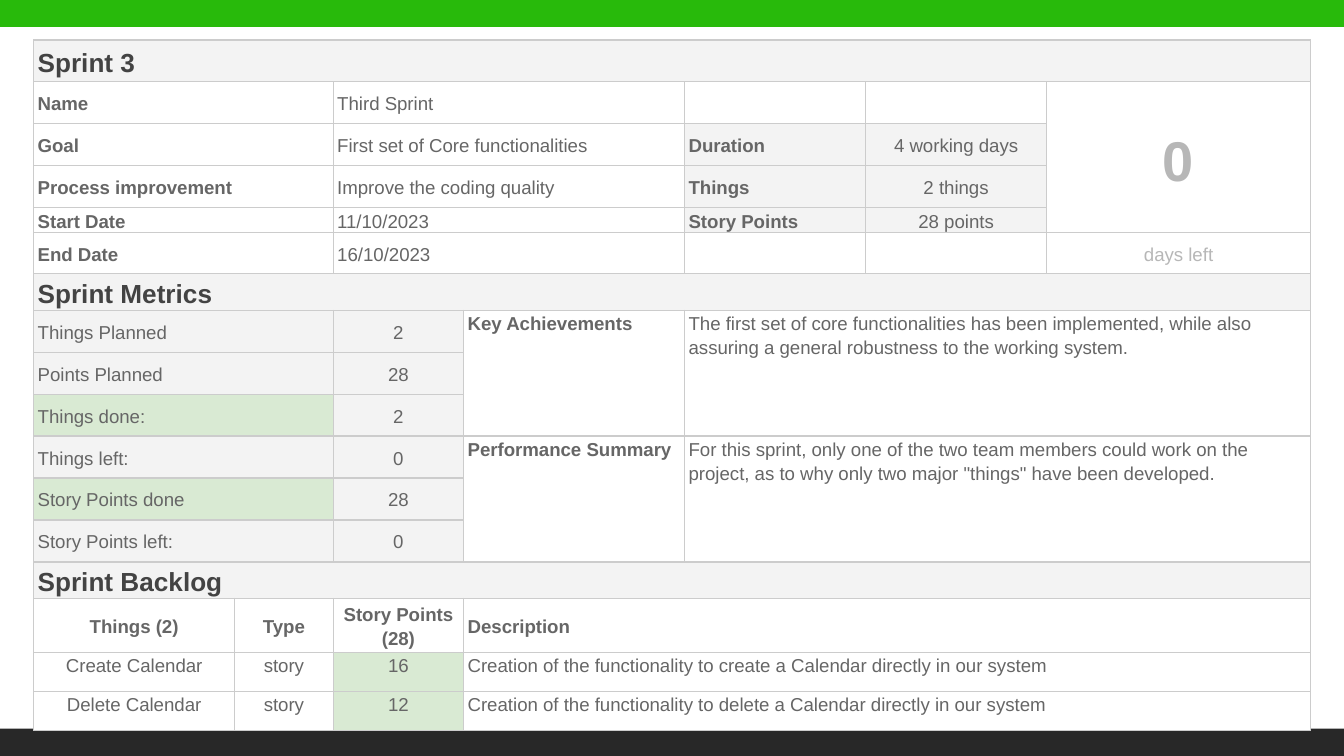
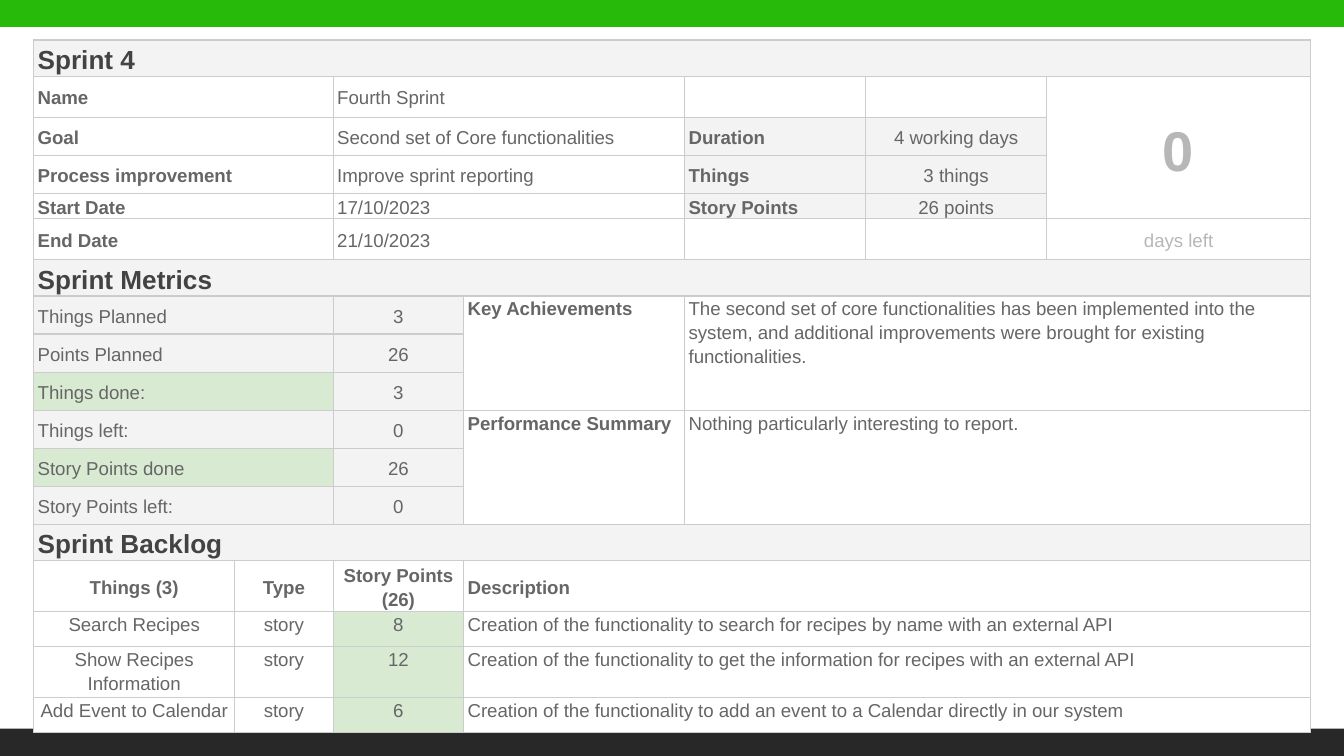
from dataclasses import dataclass

from lxml import etree
from pptx import Presentation
from pptx import util as u
from pptx.dml.color import RGBColor
from pptx.enum import shapes, text
from pptx.oxml.ns import qn


@dataclass(frozen=True)
class Theme:
    """Colours, type sizes and spacing shared by the slides."""

    font: str = "Arial"
    top_band: str = "28BA0B"
    bottom_band: str = "282828"
    heading: str = "434343"
    body: str = "666666"
    muted: str = "B7B7B7"
    border: str = "CCCCCC"
    white: str = "FFFFFF"
    panel: str = "F3F3F3"
    done: str = "D9EAD3"
    heading_size: int = 14
    body_size: int = 10
    counter_size: int = 30
    line_spacing: float = 1.15
    side_margin: float = 2.2


@dataclass(frozen=True)
class Sprint:
    """Content and row heights of one sprint report."""

    number: int
    name: str
    goal: str
    improvement: str
    start: str
    end: str
    things: int
    points: int
    achievements: str
    summary: str
    backlog: list
    title_height: float
    row_height: float
    header_height: float
    backlog_heights: list


THEME = Theme()
PAGE_WIDTH, PAGE_HEIGHT = 720, 405
TABLE_LEFT, TABLE_TOP = 18, 21.4
COLUMN_WIDTHS = [107.7, 52.8, 69.9, 118.4, 97, 97, 141.4]
LAST_COLUMN = len(COLUMN_WIDTHS) - 1
SECTION_HEIGHT, DATE_HEIGHT = 19.5, 13.5
CENTER = text.PP_ALIGN.CENTER
TOP = text.MSO_ANCHOR.TOP
METRICS_ROW, BACKLOG_ROW = 6, 13

SPRINTS = [
    Sprint(
        3, "Third Sprint", "First set of Core functionalities",
        "Improve the coding quality", "11/10/2023", "16/10/2023", 2, 28,
        "The first set of core functionalities has been implemented, while also "
        "assuring a general robustness to the working system.",
        "For this sprint, only one of the two team members could work on the "
        'project, as to why only two major "things" have been developed.',
        [
            ("Create Calendar", 16, "create a Calendar directly in our system"),
            ("Delete Calendar", 12, "delete a Calendar directly in our system"),
        ],
        22.4, 22.5, 29.2, [20.9, 20.9],
    ),
    Sprint(
        4, "Fourth Sprint", "Second set of Core functionalities",
        "Improve sprint reporting", "17/10/2023", "21/10/2023", 3, 26,
        "The second set of core functionalities has been implemented into the "
        "system, and additional improvements were brought for existing "
        "functionalities.",
        "Nothing particularly interesting to report.",
        [
            ("Search Recipes", 8, "search for recipes by name with an external API"),
            ("Show Recipes Information", 12,
             "get the information for recipes with an external API"),
            ("Add Event to Calendar", 6,
             "add an event to a Calendar directly in our system"),
        ],
        19.5, 20.4, 27.3, [18.9, 27, 18.9],
    ),
]


def add_bands(deck, page):
    """Put the top and bottom colour bands on the slide master."""
    for top, color in ((390.4, THEME.bottom_band), (-4.3, THEME.top_band)):
        band = page.shapes.add_shape(
            shapes.MSO_SHAPE.RECTANGLE, u.Pt(-5), u.Pt(top),
            u.Pt(PAGE_WIDTH + 10), u.Pt(18.7))
        band.shadow.inherit = False
        band.fill.solid()
        band.fill.fore_color.rgb = RGBColor.from_string(color)
        band.line.fill.background()
        deck.slide_master.shapes.element.append(band.element)


def format_cell(cell):
    """Give a cell its margins, thin borders and an empty fill."""
    cell.margin_left = cell.margin_right = u.Pt(THEME.side_margin)
    cell.margin_top = cell.margin_bottom = 0
    properties = cell._tc.get_or_add_tcPr()
    for side in ("a:lnL", "a:lnR", "a:lnT", "a:lnB"):
        line = etree.SubElement(properties, qn(side), w=str(u.Pt(0.75)))
        fill = etree.SubElement(line, qn("a:solidFill"))
        etree.SubElement(fill, qn("a:srgbClr"), val=THEME.border)
    cell.fill.background()


def paint(cell, color):
    """Fill a cell with one colour."""
    cell.fill.solid()
    cell.fill.fore_color.rgb = RGBColor.from_string(color)


def write(table, row, column, words, to_row=None, to_column=None, fill=None,
          bold=False, color=THEME.body, size=THEME.body_size, align=None,
          anchor=text.MSO_ANCHOR.MIDDLE):
    """Write a cell, merging it down and across where an end is given."""
    cell = table.cell(row, column)
    if to_row or to_column:
        cell.merge(table.cell(to_row or row, to_column or column))
    if fill:
        paint(cell, fill)
    cell.vertical_anchor = anchor
    cell.text_frame.text = str(words)
    para = cell.text_frame.paragraphs[0]
    para.line_spacing = THEME.line_spacing
    if align:
        para.alignment = align
    for span in para.runs:
        span.font.name = THEME.font
        span.font.size = u.Pt(size)
        span.font.bold = bold
        span.font.color.rgb = RGBColor.from_string(color)


def write_heading(table, row, words):
    """Write a section heading across the whole table."""
    write(table, row, 0, words, to_column=LAST_COLUMN, fill=THEME.panel, bold=True,
          color=THEME.heading, size=THEME.heading_size)


def fill_overview(table, top, sprint):
    """Fill the sprint facts, totals and days-left counter from row top."""
    write_heading(table, top, f"Sprint {sprint.number}")
    facts = [
        ("Name", sprint.name),
        ("Goal", sprint.goal),
        ("Process improvement", sprint.improvement),
        ("Start Date", sprint.start),
        ("End Date", sprint.end),
    ]
    for row, (label, value) in enumerate(facts, top + 1):
        write(table, row, 0, label, to_column=1, bold=True)
        write(table, row, 2, value, to_column=3)
    totals = [
        ("Duration", "4 working days"),
        ("Things", f"{sprint.things} things"),
        ("Story Points", f"{sprint.points} points"),
    ]
    for row, (label, value) in enumerate(totals, top + 2):
        write(table, row, 4, label, fill=THEME.panel, bold=True)
        write(table, row, 5, value, fill=THEME.panel, align=CENTER)
    for column in (4, 5):
        paint(table.cell(top + 1, column), THEME.white)
    write(table, top + 1, LAST_COLUMN, 0, to_row=top + 4, fill=THEME.white,
          bold=True, color=THEME.muted, size=THEME.counter_size, align=CENTER)
    write(table, top + 5, LAST_COLUMN, "days left", color=THEME.muted, align=CENTER)


def fill_metrics(table, top, sprint):
    """Fill the metric counts and the two comment blocks from row top."""
    write_heading(table, top, "Sprint Metrics")
    metrics = [
        ("Things Planned", sprint.things, THEME.panel),
        ("Points Planned", sprint.points, THEME.panel),
        ("Things done:", sprint.things, THEME.done),
        ("Things left:", 0, THEME.panel),
        ("Story Points done", sprint.points, THEME.done),
        ("Story Points left:", 0, THEME.panel),
    ]
    for row, (label, value, fill) in enumerate(metrics, top + 1):
        write(table, row, 0, label, to_column=1, fill=fill)
        write(table, row, 2, value, fill=THEME.panel, align=CENTER)
    comments = [
        ("Key Achievements", sprint.achievements),
        ("Performance Summary", sprint.summary),
    ]
    for index, (label, comment) in enumerate(comments):
        first = top + 1 + 3 * index
        write(table, first, 3, label, to_row=first + 2, bold=True, anchor=TOP)
        write(table, first, 4, comment, to_row=first + 2, to_column=LAST_COLUMN,
              anchor=TOP)


def fill_backlog(table, top, sprint):
    """Fill the backlog header and its items from row top."""
    write_heading(table, top, "Sprint Backlog")
    headers = [f"Things ({sprint.things})", "Type", f"Story Points ({sprint.points})"]
    for column, header in enumerate(headers):
        write(table, top + 1, column, header, bold=True, align=CENTER)
    write(table, top + 1, 3, "Description", to_column=LAST_COLUMN, bold=True)
    for row, (thing, points, purpose) in enumerate(sprint.backlog, top + 2):
        cells = [(thing, THEME.white), ("story", THEME.white), (points, THEME.done)]
        for column, (words, fill) in enumerate(cells):
            write(table, row, column, words, fill=fill, align=CENTER, anchor=TOP)
        write(table, row, 3, f"Creation of the functionality to {purpose}",
              to_column=LAST_COLUMN, fill=THEME.white, anchor=TOP)


def add_report(page, left, top, sprint):
    """Add one sprint report table with its three regions."""
    heights = [sprint.title_height, *[sprint.row_height] * 3, DATE_HEIGHT, DATE_HEIGHT,
               SECTION_HEIGHT, *[sprint.row_height] * 6,
               SECTION_HEIGHT, sprint.header_height, *sprint.backlog_heights]
    table = page.shapes.add_table(
        len(heights), len(COLUMN_WIDTHS), u.Pt(left), u.Pt(top),
        u.Pt(sum(COLUMN_WIDTHS)), u.Pt(sum(heights))).table
    table.first_row = table.horz_banding = False
    for column, width in zip(table.columns, COLUMN_WIDTHS):
        column.width = u.Pt(width)
    for row, height in zip(table.rows, heights):
        row.height = u.Pt(height)
    for cell in table.iter_cells():
        format_cell(cell)
    fill_overview(table, 0, sprint)
    fill_metrics(table, METRICS_ROW, sprint)
    fill_backlog(table, BACKLOG_ROW, sprint)


def main():
    """Build and save the deck."""
    deck = Presentation()
    deck.slide_width, deck.slide_height = u.Pt(PAGE_WIDTH), u.Pt(PAGE_HEIGHT)
    blank = deck.slide_layouts.get_by_name("Blank")
    pages = [deck.slides.add_slide(blank) for _ in SPRINTS]
    add_bands(deck, pages[0])
    for page, sprint in zip(pages, SPRINTS):
        add_report(page, TABLE_LEFT, TABLE_TOP, sprint)
    deck.save("out.pptx")


if __name__ == "__main__":
    main()
